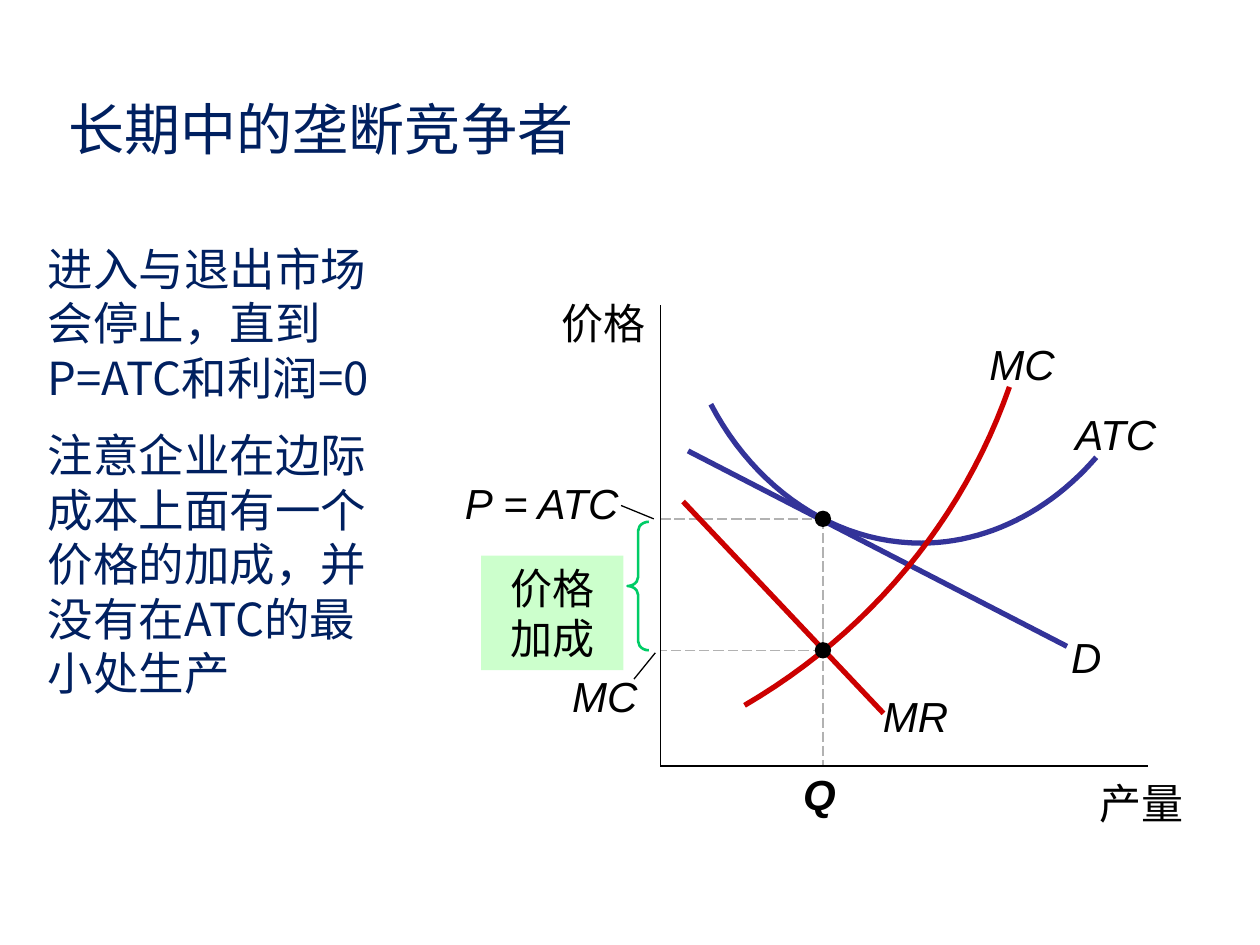
from lxml.etree import SubElement
from pptx import Presentation
from pptx.dml.color import RGBColor
from pptx.enum.dml import MSO_LINE_DASH_STYLE as DASH
from pptx.enum.shapes import MSO_CONNECTOR, MSO_SHAPE
from pptx.enum.text import MSO_ANCHOR, PP_ALIGN as ALIGN
from pptx.oxml.ns import qn
from pptx.util import Cm, Pt

CJK = "Noto Sans CJK SC"
NAVY, BLACK, GREY = "002060", "000000", "B2B2B2"
BLUE, RED, GREEN, MINT = "333399", "CC0000", "00CC66", "CCFFCC"
color = RGBColor.from_string


def write(frame, paragraphs, ink=BLACK, align=ALIGN.LEFT, wrap=True, inset=(0, 0), **font):
    """Fill a text frame; font holds the attributes of every run's font."""
    across, down = map(Cm, inset)
    layout = {"word_wrap": wrap, "vertical_anchor": MSO_ANCHOR.TOP,
              "margin_left": across, "margin_right": across,
              "margin_top": down, "margin_bottom": down}
    for key, value in layout.items():
        setattr(frame, key, value)
    for i, words in enumerate(paragraphs):
        para = frame.add_paragraph() if i else frame.paragraphs[0]
        para.alignment = align
        if i:
            para.space_before = Pt(13)
        run = para.add_run()
        run.text = words
        for key, value in font.items():
            setattr(run.font, key, value)
        run.font.color.rgb = color(ink)
        SubElement(run.font._element, qn("a:ea"), typeface=CJK)


def draw_line(start, end, ink, width=0.75, dash=None):
    line = slide.shapes.add_connector(MSO_CONNECTOR.STRAIGHT, *map(Cm, start + end))
    line.line.color.rgb = color(ink)
    line.line.width = Pt(width)
    if dash:
        line.line.dash_style = dash
    SubElement(line._element.spPr, qn("a:effectLst"))


prs = Presentation()
prs.slide_width, prs.slide_height = Cm(25.4), Cm(19.05)
slide = prs.slides.add_slide(prs.slide_layouts[6])

# Heading and explanation
heading = slide.shapes.add_textbox(Cm(1.14), Cm(1.78), Cm(10.77), Cm(1.63))
write(heading.text_frame, ["长期中的垄断竞争者"], NAVY, wrap=False,
      inset=(0.25, 0.13), name=CJK, size=Pt(32))
explanation = slide.shapes.add_textbox(Cm(0.71), Cm(4.72), Cm(7.59), Cm(10.01))
write(explanation.text_frame,
      ["进入与退出市场会停止，直到P=ATC和利润=0",
       "注意企业在边际成本上面有一个价格的加成，并没有在ATC的最小处生产"],
      NAVY, inset=(0.25, 0.13), name=CJK, size=Pt(26))

# Guides, axes, straight curves and label ticks
axis_x, axis_y = 13.31, 15.44
quantity, price, marginal_cost = 16.59, 10.46, 13.11
for start, end in [((quantity, marginal_cost), (axis_x, marginal_cost)),
                   ((axis_x, price), (quantity, price)),
                   ((quantity, price), (quantity, axis_y))]:
    draw_line(start, end, GREY, dash=DASH.LONG_DASH)
for start, end in [((axis_x, 6.15), (axis_x, axis_y)),
                   ((axis_x, axis_y), (23.14, axis_y)),
                   ((12.52, 10.19), (13.18, price)),
                   ((13.21, 13.16), (12.78, 13.69))]:
    draw_line(start, end, BLACK)
draw_line((13.87, 9.09), (21.51, 13.03), BLUE, 3)
draw_line((13.77, 10.11), (17.81, 14.38), RED, 3)

# Cost curves: chained cubic Bezier control points
atc = [(22.1, 9.22), (21.16, 10.31), (19.89, 10.95), (18.57, 10.95),
       (16.84, 10.95), (15.24, 9.88), (14.33, 8.15)]
mc = [(15.01, 14.22), (17.53, 12.75), (19.41, 10.49), (20.35, 7.8)]
STEPS = 24
for controls, ink in [(atc, BLUE), (mc, RED)]:
    points = [controls[0]]
    for first in range(0, len(controls) - 1, 3):
        for step in range(1, STEPS + 1):
            t = step / STEPS
            weights = ((1 - t) ** 3, 3 * t * (1 - t) ** 2, 3 * t * t * (1 - t), t ** 3)
            points.append(tuple(sum(w * p[axis] for w, p in zip(weights, controls[first:first + 4]))
                                for axis in (0, 1)))
    points = [(Cm(x), Cm(y)) for x, y in points]
    builder = slide.shapes.build_freeform(*points[0])
    builder.add_line_segments(points[1:], close=False)
    curve = builder.convert_to_shape()
    curve.shadow.inherit = False
    curve.fill.background()
    curve.line.color.rgb = color(ink)
    curve.line.width = Pt(3)

# Points where quantity meets price and marginal cost
DOT = 0.33
for level in (price, marginal_cost):
    dot = slide.shapes.add_shape(MSO_SHAPE.OVAL, Cm(quantity - DOT / 2), Cm(level - DOT / 2),
                                 Cm(DOT), Cm(DOT))
    dot.shadow.inherit = False
    dot.fill.solid()
    dot.fill.fore_color.rgb = color(BLACK)
    dot.line.fill.background()

# Labels
upright, slanted, strong = {}, {"italic": True}, {"italic": True, "bold": True}
for words, left, top, width, align, style in [
        ("产量", 20.45, 15.67, 3.4, ALIGN.RIGHT, upright),
        ("价格", 9.17, 5.99, 3.84, ALIGN.RIGHT, upright),
        ("ATC", 21.34, 8.23, 2.31, ALIGN.CENTER, slanted),
        ("D", 21.29, 12.73, 1.22, ALIGN.CENTER, slanted),
        ("MR", 17.63, 13.92, 1.65, ALIGN.CENTER, slanted),
        ("Q", 16.05, 15.5, 0.94, ALIGN.CENTER, strong),
        ("MC", 19.79, 6.83, 1.63, ALIGN.CENTER, slanted),
        ("MC", 11.28, 13.51, 1.57, ALIGN.RIGHT, slanted),
        ("P = ATC", 9.12, 9.63, 3.35, ALIGN.RIGHT, slanted)]:
    label = slide.shapes.add_textbox(Cm(left), Cm(top), Cm(width), Cm(1.02))
    write(label.text_frame, [words], align=align, name="Arial", size=Pt(24), **style)

# Markup over marginal cost
brace = slide.shapes.add_shape(MSO_SHAPE.LEFT_BRACE, Cm(12.65), Cm(10.52), Cm(0.43), Cm(2.59))
brace.shadow.inherit = False
brace.adjustments[0] = 0.42
brace.fill.background()
brace.line.color.rgb = color(GREEN)
brace.line.width = Pt(1.5)
markup = slide.shapes.add_shape(MSO_SHAPE.RECTANGLE, Cm(9.7), Cm(11.2), Cm(2.87), Cm(2.31))
markup.shadow.inherit = False
markup.fill.solid()
markup.fill.fore_color.rgb = color(MINT)
markup.line.fill.background()
write(markup.text_frame, ["价格加成"], align=ALIGN.CENTER, inset=(0.25, 0.13),
      name="Arial", size=Pt(24))

prs.save("out.pptx")
